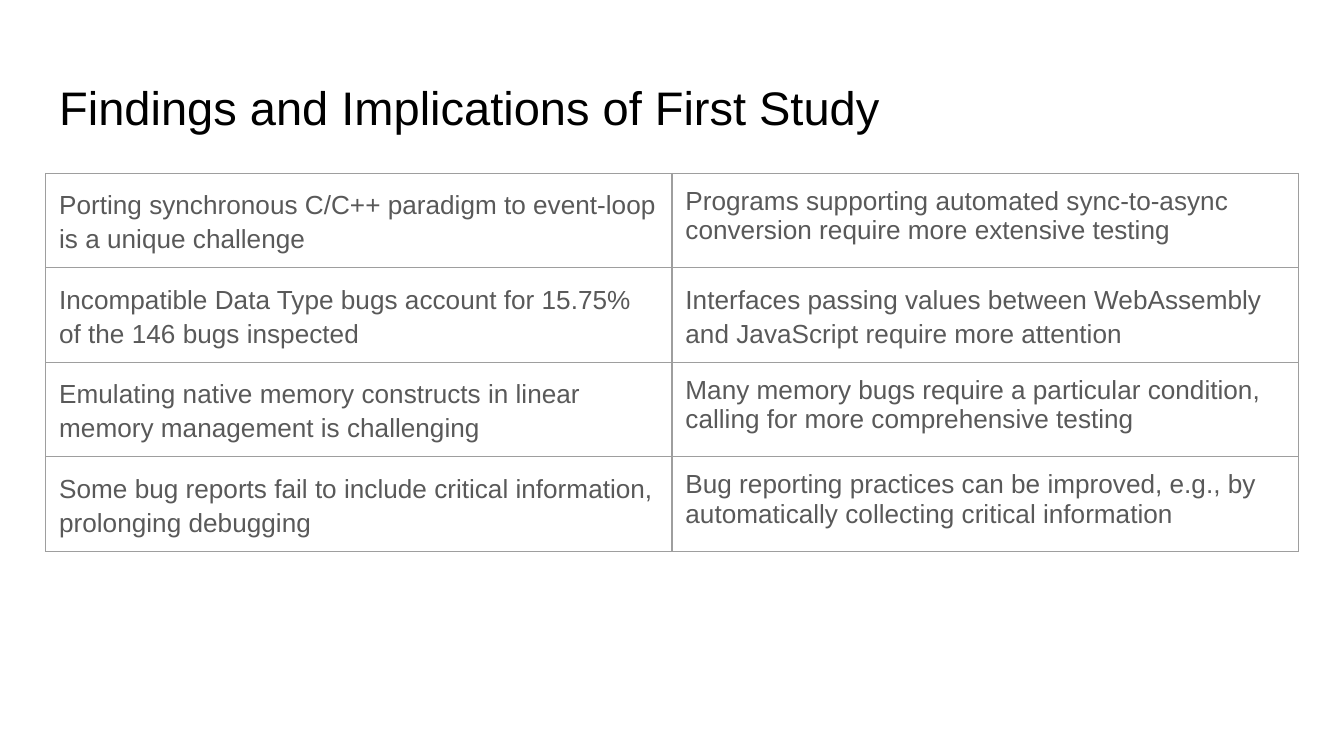
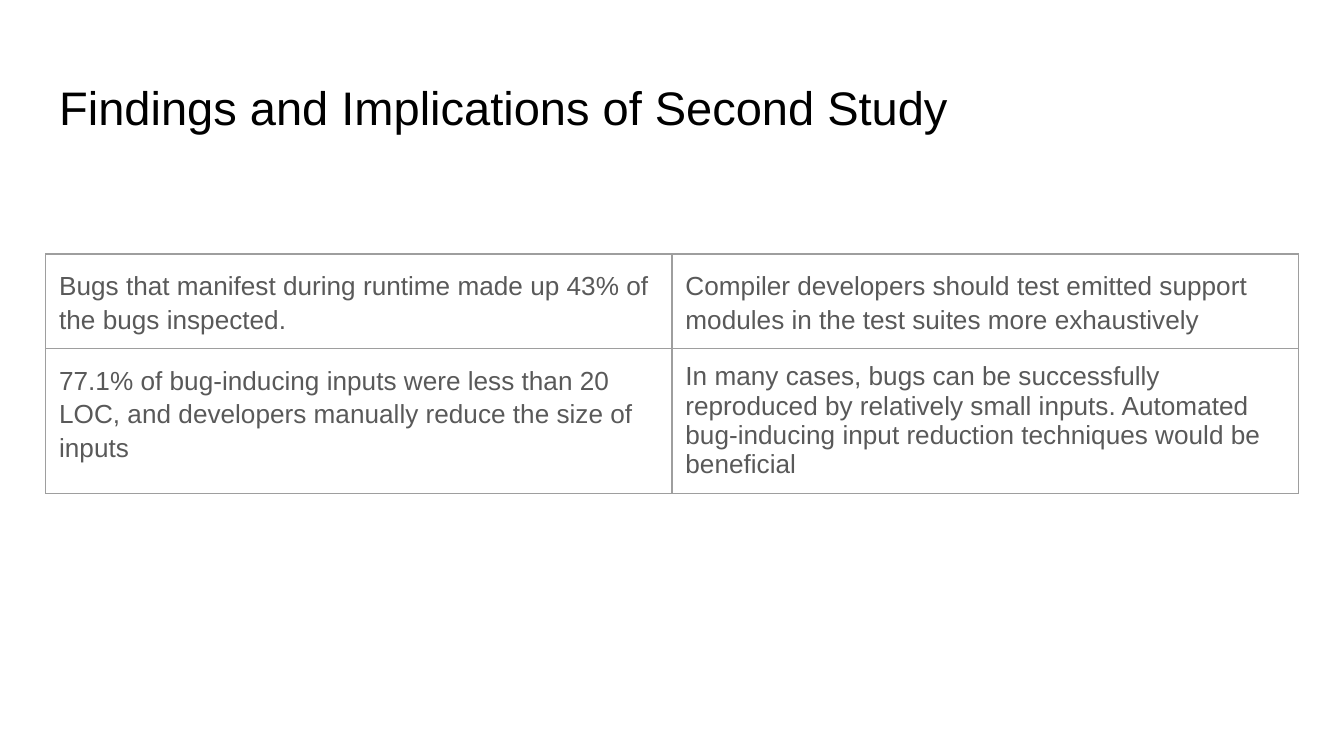
from dataclasses import dataclass

from lxml import etree
from pptx import Presentation
from pptx.dml import color
from pptx.enum import text
from pptx.oxml import ns
from pptx.util import Emu, Pt

EMU_PER_PX = 4572
TITLE_ONLY = 5


@dataclass(frozen=True)
class Theme:
    font: str = "Arial"
    title_color: str = "000000"
    body_color: str = "595959"
    border_color: str = "9E9E9E"
    title_size: float = 25.2
    body_size: float = 14
    border_width: float = 0.75
    loose_spacing: float = 1.15


@dataclass(frozen=True)
class Entry:
    wording: str
    loose: bool = True


@dataclass(frozen=True)
class Finding:
    finding: Entry
    implication: Entry
    height: int = 140


@dataclass(frozen=True)
class Study:
    title: str
    table_top: int
    findings: tuple[Finding, ...]


THEME = Theme()
SLIDE_WIDTH, SLIDE_HEIGHT = 2000, 1125
MARGIN = 68
CONTENT_WIDTH = SLIDE_WIDTH - 2 * MARGIN
TITLE_TOP, TITLE_HEIGHT = 97, 125
INSET = 20

STUDIES = (
    Study("Findings and Implications of First Study", 258, (
        Finding(
            Entry("Porting synchronous C/C++ paradigm to event-loop is a unique challenge"),
            Entry("Programs supporting automated sync-to-async conversion require more "
                  "extensive testing", loose=False)),
        Finding(
            Entry("Incompatible Data Type bugs account for 15.75% of the 146 bugs inspected"),
            Entry("Interfaces passing values between WebAssembly and JavaScript require "
                  "more attention")),
        Finding(
            Entry("Emulating native memory constructs in linear memory management is "
                  "challenging"),
            Entry("Many memory bugs require a particular condition, calling for more "
                  "comprehensive testing", loose=False)),
        Finding(
            Entry("Some bug reports fail to include critical information, prolonging "
                  "debugging"),
            Entry("Bug reporting practices can be improved, e.g., by automatically "
                  "collecting critical information", loose=False)),
    )),
    Study("Findings and Implications of Second Study", 378, (
        Finding(
            Entry("Bugs that manifest during runtime made up 43% of the bugs inspected."),
            Entry("Compiler developers should test emitted support modules in the test "
                  "suites more exhaustively")),
        Finding(
            Entry("77.1% of bug-inducing inputs were less than 20 LOC, and developers "
                  "manually reduce the size of inputs"),
            Entry("In many cases, bugs can be successfully reproduced by relatively small "
                  "inputs. Automated bug-inducing input reduction techniques would be "
                  "beneficial", loose=False),
            height=216),
    )),
)


def px(length: int) -> Emu:
    return Emu(length * EMU_PER_PX)


def set_insets(target) -> None:
    target.margin_left = target.margin_right = px(INSET)
    target.margin_top = target.margin_bottom = px(INSET)


def style_paragraph(paragraph, size: float, rgb: str, spacing: float) -> None:
    paragraph.alignment = text.PP_ALIGN.LEFT
    paragraph.line_spacing = spacing
    for run in paragraph.runs:
        run.font.name = THEME.font
        run.font.size = Pt(size)
        run.font.color.rgb = color.RGBColor.from_string(rgb)


def add_title(slide, wording: str) -> None:
    title = slide.shapes.title
    title.left, title.top = px(MARGIN), px(TITLE_TOP)
    title.width, title.height = px(CONTENT_WIDTH), px(TITLE_HEIGHT)
    frame = title.text_frame
    frame.text = wording
    frame.word_wrap = True
    frame.auto_size = text.MSO_AUTO_SIZE.NONE
    frame.vertical_anchor = text.MSO_ANCHOR.MIDDLE
    set_insets(frame)
    style_paragraph(frame.paragraphs[0], THEME.title_size, THEME.title_color, 1.0)


def add_borders(cell) -> None:
    properties = cell._tc.get_or_add_tcPr()
    for side in ("lnL", "lnR", "lnT", "lnB"):
        line = etree.SubElement(properties, ns.qn(f"a:{side}"),
                                w=str(Pt(THEME.border_width)))
        fill = etree.SubElement(line, ns.qn("a:solidFill"))
        etree.SubElement(fill, ns.qn("a:srgbClr"), val=THEME.border_color)


def fill_cell(cell, entry: Entry) -> None:
    cell.text_frame.text = entry.wording
    set_insets(cell)
    cell.vertical_anchor = text.MSO_ANCHOR.TOP
    spacing = THEME.loose_spacing if entry.loose else 1.0
    style_paragraph(cell.text_frame.paragraphs[0], THEME.body_size,
                    THEME.body_color, spacing)
    add_borders(cell)
    cell.fill.background()


def add_findings(slide, study: Study) -> None:
    height = sum(finding.height for finding in study.findings)
    table = slide.shapes.add_table(
        len(study.findings), 2, px(MARGIN), px(study.table_top),
        px(CONTENT_WIDTH), px(height)).table
    table.first_row = table.horz_banding = False
    for row, finding in zip(table.rows, study.findings):
        row.height = px(finding.height)
        for cell, entry in zip(row.cells, (finding.finding, finding.implication)):
            fill_cell(cell, entry)


def main() -> None:
    presentation = Presentation()
    presentation.slide_width = px(SLIDE_WIDTH)
    presentation.slide_height = px(SLIDE_HEIGHT)
    for study in STUDIES:
        slide = presentation.slides.add_slide(presentation.slide_layouts[TITLE_ONLY])
        add_title(slide, study.title)
        add_findings(slide, study)
    presentation.save("out.pptx")


if __name__ == "__main__":
    main()
